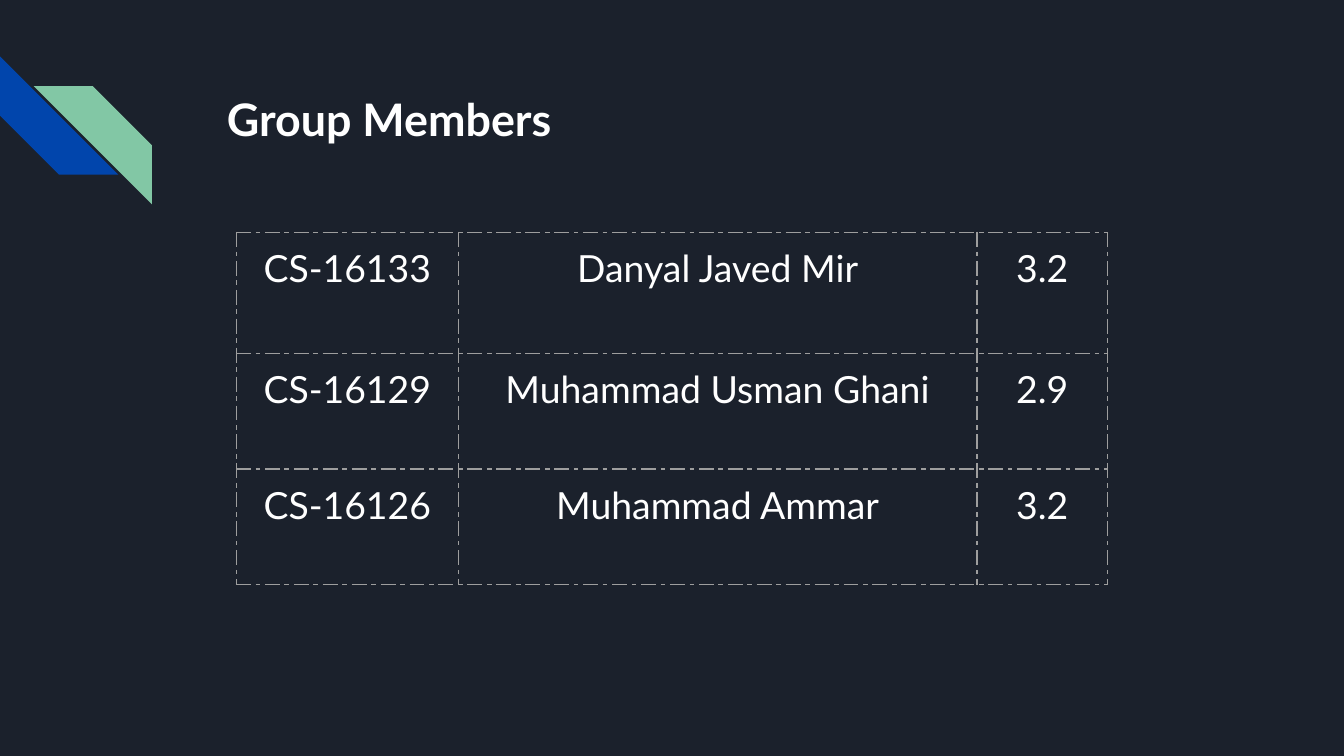
from dataclasses import dataclass

from lxml import etree
from pptx import Presentation
from pptx.dml.color import RGBColor
from pptx.enum import shapes, text
from pptx.oxml import ns
from pptx.util import Inches, Pt

NIGHT = RGBColor(0x1B, 0x21, 0x2C)
BLUE = RGBColor(0x01, 0x45, 0xAC)
GREEN = RGBColor(0x82, 0xC7, 0xA5)
WHITE = RGBColor(0xFF, 0xFF, 0xFF)
GREY = RGBColor(0x9E, 0x9E, 0x9E)
FONT = "Lato"
PAD = Inches(0.1)
WIDE = 10
HIGH = WIDE * 9 / 16


@dataclass
class Stripe:
    left: float
    top: float
    turn: int
    color: RGBColor


@dataclass
class Member:
    code: str
    name: str
    grade: str
    height: float


STRIPES = [Stripe(0, 0.42, 270, BLUE), Stripe(0.25, 0.64, 90, GREEN)]
MEMBERS = [
    Member("CS-16133", "Danyal Javed Mir", "3.2", 0.9),
    Member("CS-16129", "Muhammad Usman Ghani", "2.9", 0.86),
    Member("CS-16126", "Muhammad Ammar", "3.2", 0.86),
]
WIDTHS = [1.65, 3.86, 0.97]


def set_font(para, size: int, bold: bool = False) -> None:
    font = para.font
    font.name, font.size, font.bold = FONT, Pt(size), bold
    font.color.rgb = WHITE


def set_pad(box) -> None:
    box.margin_left = box.margin_right = PAD
    box.margin_top = box.margin_bottom = PAD


def add_stripe(slide, stripe: Stripe) -> None:
    side = Inches(0.88)
    shape = slide.shapes.add_shape(
        shapes.MSO_SHAPE.DIAGONAL_STRIPE,
        Inches(stripe.left), Inches(stripe.top), side, side)
    shape.rotation = stripe.turn
    shape.shadow.inherit = False
    shape.fill.solid()
    shape.fill.fore_color.rgb = stripe.color
    shape.line.fill.background()


def add_title(slide, title: str) -> None:
    box = slide.shapes.add_textbox(
        Inches(1.59), Inches(0.58), Inches(7.48), Inches(0.92))
    frame = box.text_frame
    frame.word_wrap = True
    set_pad(frame)
    frame.text = title
    set_font(frame.paragraphs[0], 24, True)


def add_lines(cell) -> None:
    props = cell._tc.get_or_add_tcPr()
    for side in ("lnL", "lnR", "lnT", "lnB"):
        line = etree.SubElement(props, ns.qn(f"a:{side}"), w=str(Pt(0.75)))
        fill = etree.SubElement(line, ns.qn("a:solidFill"))
        etree.SubElement(fill, ns.qn("a:srgbClr"), val=str(GREY))
        etree.SubElement(line, ns.qn("a:prstDash"), val="dashDot")


def fill_cell(cell, value: str) -> None:
    add_lines(cell)
    cell.fill.background()
    set_pad(cell)
    cell.text = value
    para = cell.text_frame.paragraphs[0]
    para.alignment = text.PP_ALIGN.CENTER
    set_font(para, 20)


def add_members(slide, members: list[Member]) -> None:
    height = sum(member.height for member in members)
    table = slide.shapes.add_table(
        len(members), len(WIDTHS), Inches(1.76), Inches(1.73),
        Inches(sum(WIDTHS)), Inches(height)).table
    table.first_row = table.horz_banding = False
    for col, width in zip(table.columns, WIDTHS):
        col.width = Inches(width)
    for row, member in zip(table.rows, members):
        row.height = Inches(member.height)
        values = (member.code, member.name, member.grade)
        for cell, value in zip(row.cells, values):
            fill_cell(cell, value)


def main() -> None:
    deck = Presentation()
    deck.slide_width, deck.slide_height = Inches(WIDE), Inches(HIGH)
    slide = deck.slides.add_slide(deck.slide_layouts[6])
    slide.background.fill.solid()
    slide.background.fill.fore_color.rgb = NIGHT
    for stripe in STRIPES:
        add_stripe(slide, stripe)
    add_members(slide, MEMBERS)
    add_title(slide, "Group Members")
    deck.save("out.pptx")


if __name__ == "__main__":
    main()
